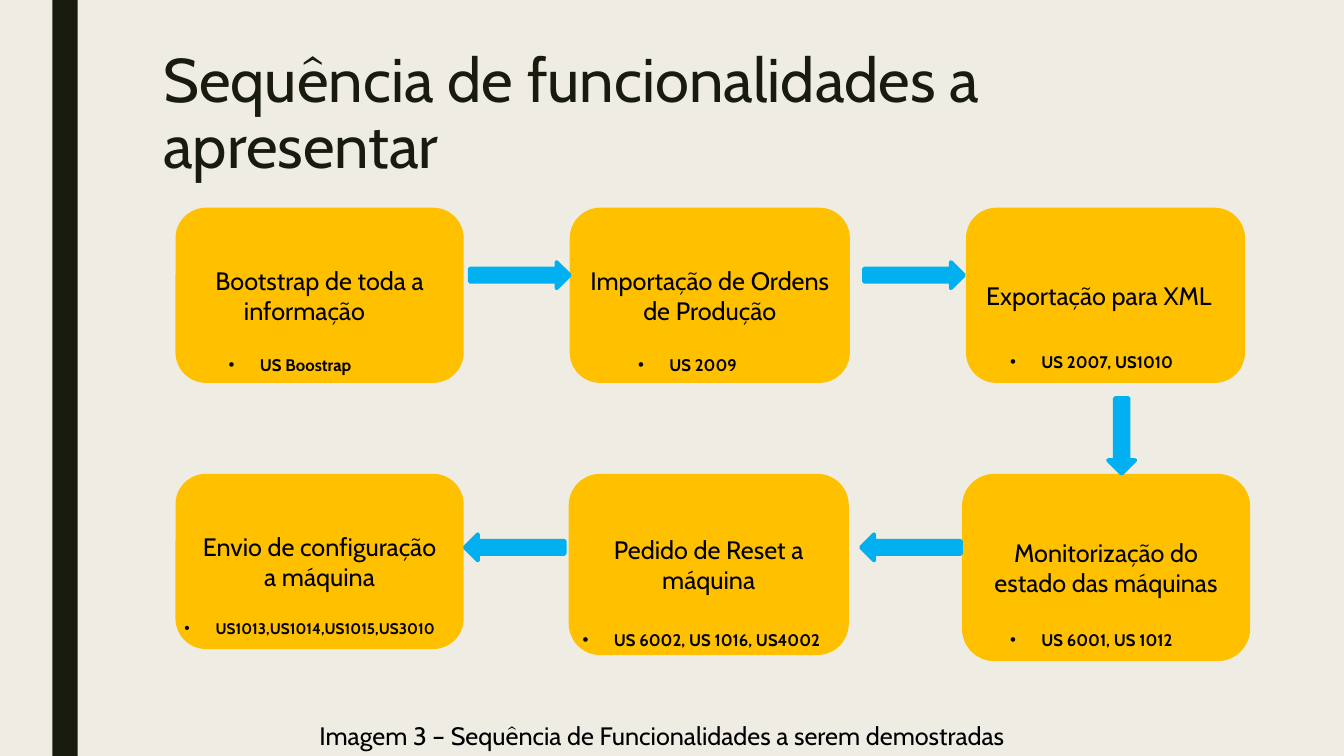
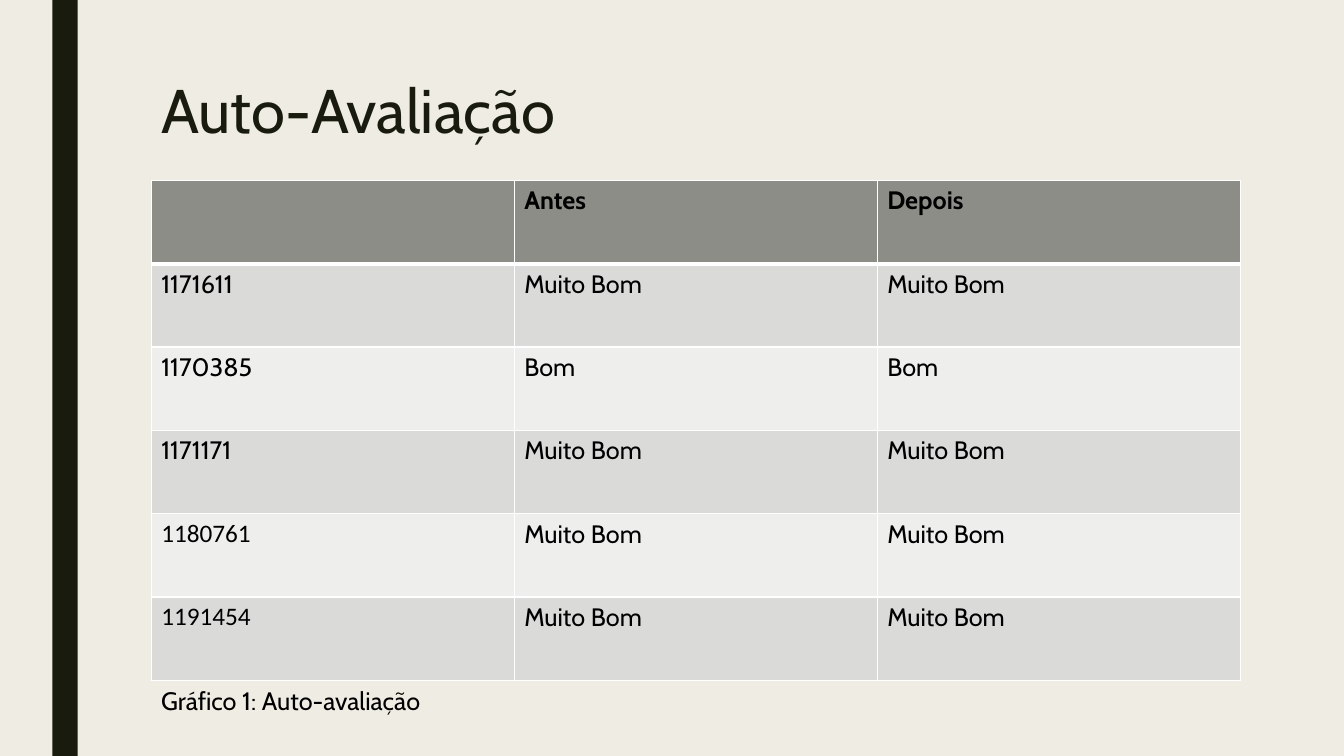
from lxml import etree
from pptx import Presentation
from pptx.dml.color import RGBColor
from pptx.enum.shapes import MSO_SHAPE
from pptx.enum.text import MSO_ANCHOR, PP_ALIGN
from pptx.oxml.ns import qn
from pptx.util import Emu, Pt

RECT, ROUND, ARROW = MSO_SHAPE.RECTANGLE, MSO_SHAPE.ROUNDED_RECTANGLE, MSO_SHAPE.RIGHT_ARROW
LEFT, MID = PP_ALIGN.LEFT, PP_ALIGN.CENTER
TOP, CENTER = MSO_ANCHOR.TOP, MSO_ANCHOR.MIDDLE
SCALE = 9144  # EMU per px, 100 px to the inch
WIDE, HIGH = 1333, 750
FONT = "Cabin"
COLORS = {
    "back": "EFEDE3", "dark": "191B0E", "text": "000000", "box": "FFC000",
    "arrow": "00B0F0", "head": "8C8D86", "odd": "DADBD9", "even": "EEEEED",
    "rule": "FFFFFF",
}

# Slide 1: step text, its box, story text, its place and size
STEPS = [
    ("Bootstrap de toda a informação\t", (176, 208, 282, 170),
     "US Boostrap", (217, 347, 163, 30), 12),
    ("Importação de Ordens de Produção", (567, 208, 274, 170),
     "US 2009", (623, 347, 163, 30), 12),
    ("Exportação para XML\t", (960, 208, 273, 170),
     "US 2007, US1010", (992, 344, 205, 30), 12),
    ("Monitorização do estado das máquinas", (956, 472, 282, 182),
     "US 6001, US 1012", (992, 620, 241, 30), 12),
    ("Pedido de Reset a máquina", (566, 472, 274, 176),
     "US 6002, US 1016, US4002", (568, 620, 289, 30), 12),
    ("Envio de configuração a máquina", (176, 472, 282, 170),
     "US1013,US1014,US1015,US3010", (173, 609, 351, 29), 11),
]
ARROWS = [
    ((466, 260, 99, 26), 0),
    ((857, 260, 99, 26), 0),
    ((1075, 419, 75, 27), 90),
    ((854, 530, 99, 26), 180),
    ((461, 530, 99, 26), 180),
]

# Slide 2: table rows
ROWS = [
    ("", "Antes", "Depois"),
    ("1171611", "Muito Bom", "Muito Bom"),
    ("1170385", "Bom", "Bom"),
    ("1171171", "Muito Bom", "Muito Bom"),
    ("1180761", "Muito Bom", "Muito Bom"),
    ("1191454", "Muito Bom", "Muito Bom"),
]
PLAIN = {"1180761", "1191454"}  # set in Calibri


def px(n):
    return Emu(n * SCALE)


def color(name):
    return RGBColor.from_string(COLORS[name])


def write(frame, text, size=18, font=FONT, ink="text", bold=False,
          align=LEFT, anchor=TOP, space=None, bullet=False):
    frame.word_wrap = True
    frame.vertical_anchor = anchor
    para = frame.paragraphs[0]
    para.alignment = align
    if space:
        para.line_spacing = space
    run = para.add_run()
    run.text = text
    run.font.name = font
    run.font.size = Pt(size)
    run.font.bold = bold
    run.font.color.rgb = color(ink)
    if bullet:
        props = para._p.get_or_add_pPr()
        props.set("marL", str(px(31)))
        props.set("indent", str(-px(31)))
        etree.SubElement(props, qn("a:buFont"), typeface="Arial")
        etree.SubElement(props, qn("a:buChar"), char="•")


def border(cell, sides):
    props = cell._tc.get_or_add_tcPr()
    for i, (side, width) in enumerate(sides.items()):
        line = etree.Element(qn("a:ln" + side), w=str(Pt(width)))
        fill = etree.SubElement(line, qn("a:solidFill"))
        etree.SubElement(fill, qn("a:srgbClr"), val=COLORS["rule"])
        props.insert(i, line)  # borders come before the fill


class Deck:
    def __init__(self):
        self.prs = Presentation()
        self.prs.slide_width, self.prs.slide_height = px(WIDE), px(HIGH)
        self.slide = None

    def page(self, title, x, y):
        self.slide = self.prs.slides.add_slide(self.prs.slide_layouts[6])
        fill = self.slide.background.fill
        fill.solid()
        fill.fore_color.rgb = color("back")
        self.shape(RECT, (52, 0, 25, HIGH), "dark", edge=0)
        self.text((x, y, 1050, 162), title, size=44, ink="dark", space=0.89)

    def shape(self, kind, area, tint, edge=2.75, turn=0):
        item = self.slide.shapes.add_shape(kind, *map(px, area))
        item.shadow.inherit = False
        item.rotation = turn
        item.fill.solid()
        item.fill.fore_color.rgb = color(tint)
        if edge:
            item.line.color.rgb = color(tint)
            item.line.width = Pt(edge)
        else:
            item.line.fill.background()
        return item

    def text(self, area, text, **style):
        item = self.slide.shapes.add_textbox(*map(px, area))
        write(item.text_frame, text, **style)

    def step(self, area, text):
        item = self.shape(ROUND, area, "box")
        write(item.text_frame, text, align=MID, anchor=CENTER)

    def table(self, area, rows):
        frame = self.slide.shapes.add_table(len(rows), len(rows[0]), *map(px, area))
        for r, row in enumerate(rows):
            tint = "head" if r == 0 else "odd" if r % 2 else "even"
            for c, text in enumerate(row):
                cell = frame.table.cell(r, c)
                cell.fill.solid()
                cell.fill.fore_color.rgb = color(tint)
                border(cell, {"L": 1, "R": 1, "T": 3 if r == 1 else 1,
                              "B": 3 if r == 0 else 1})
                if text:
                    write(cell.text_frame, text, bold=r == 0,
                          font="Calibri" if text in PLAIN else FONT)


def main():
    deck = Deck()

    # Sequence of steps
    deck.page("Sequência de funcionalidades a apresentar", 152, 45)
    for text, area, *_ in STEPS:
        deck.step(area, text)
    for area, turn in ARROWS:
        deck.shape(ARROW, area, "arrow", turn=turn)
    for _, _, story, area, size in STEPS:
        deck.text(area, story, size=size, bold=True, bullet=True)
    deck.text((307, 710, 720, 40),
              "Imagem 3 – Sequência de Funcionalidades a serem demostradas")

    # Self-assessment
    deck.page("Auto-Avaliação", 150, 75)
    deck.table((150, 179, 1080, 496), ROWS)
    deck.text((150, 675, 887, 40), "Gráfico 1: Auto-avaliação")

    deck.prs.save("out.pptx")


if __name__ == "__main__":
    main()
